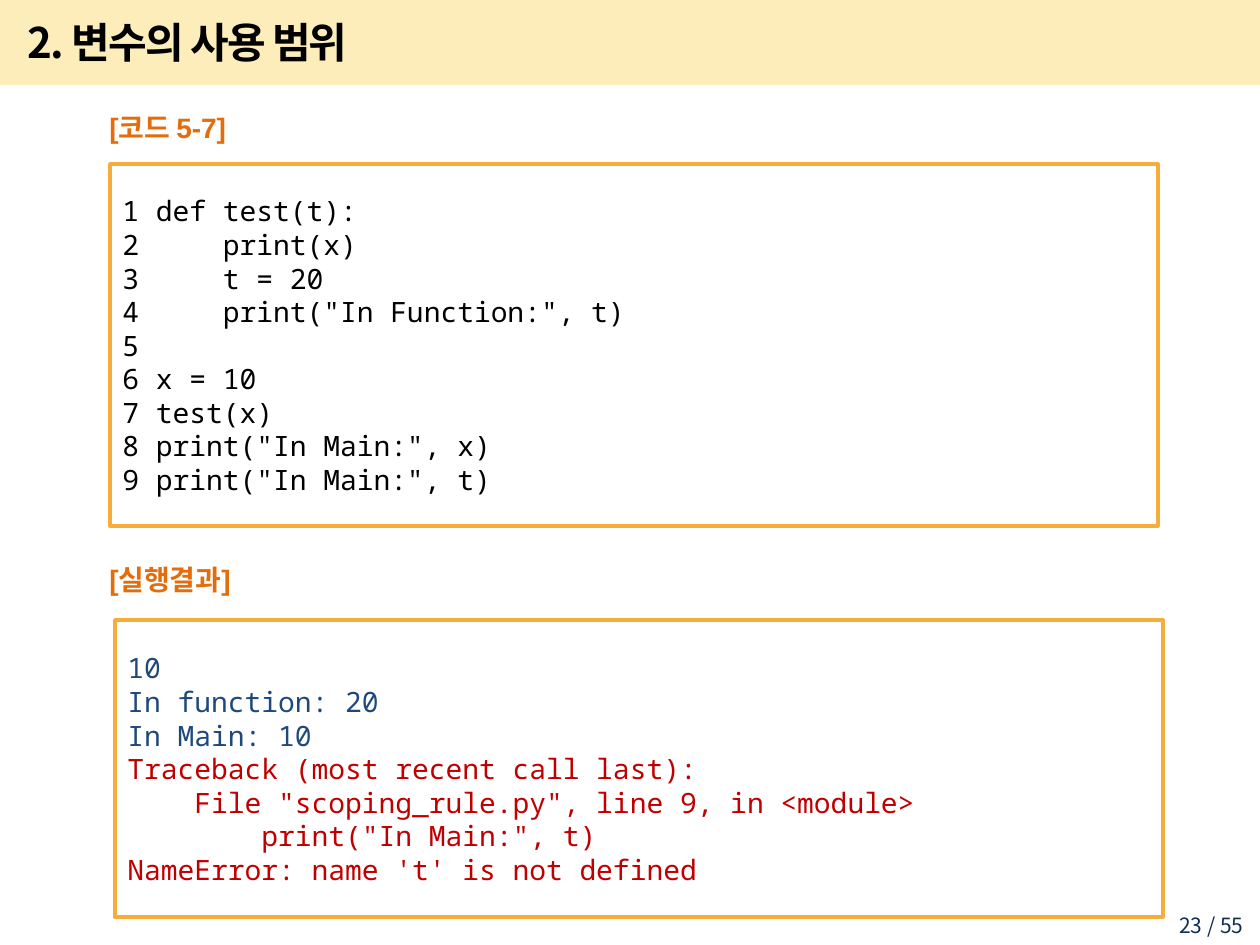
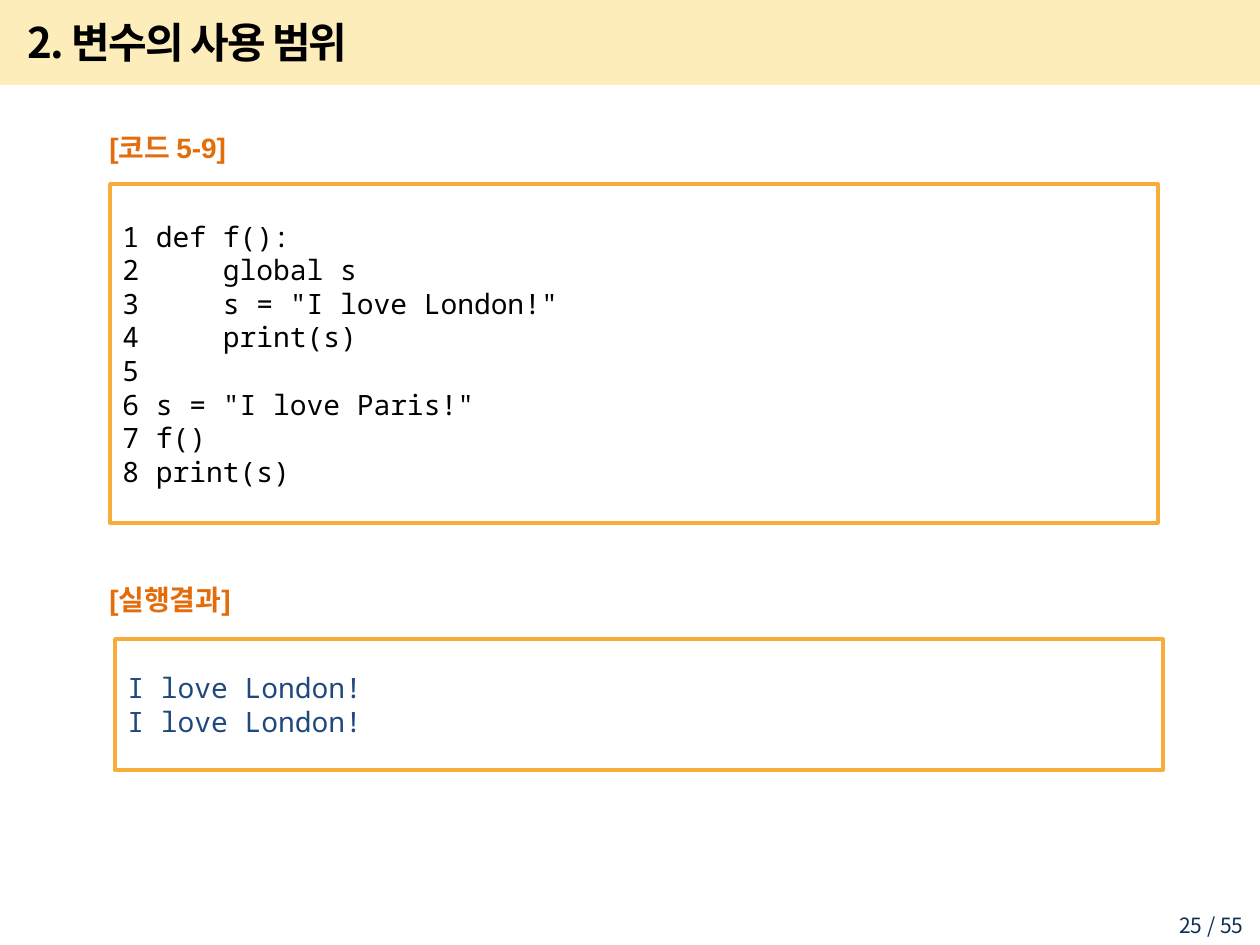
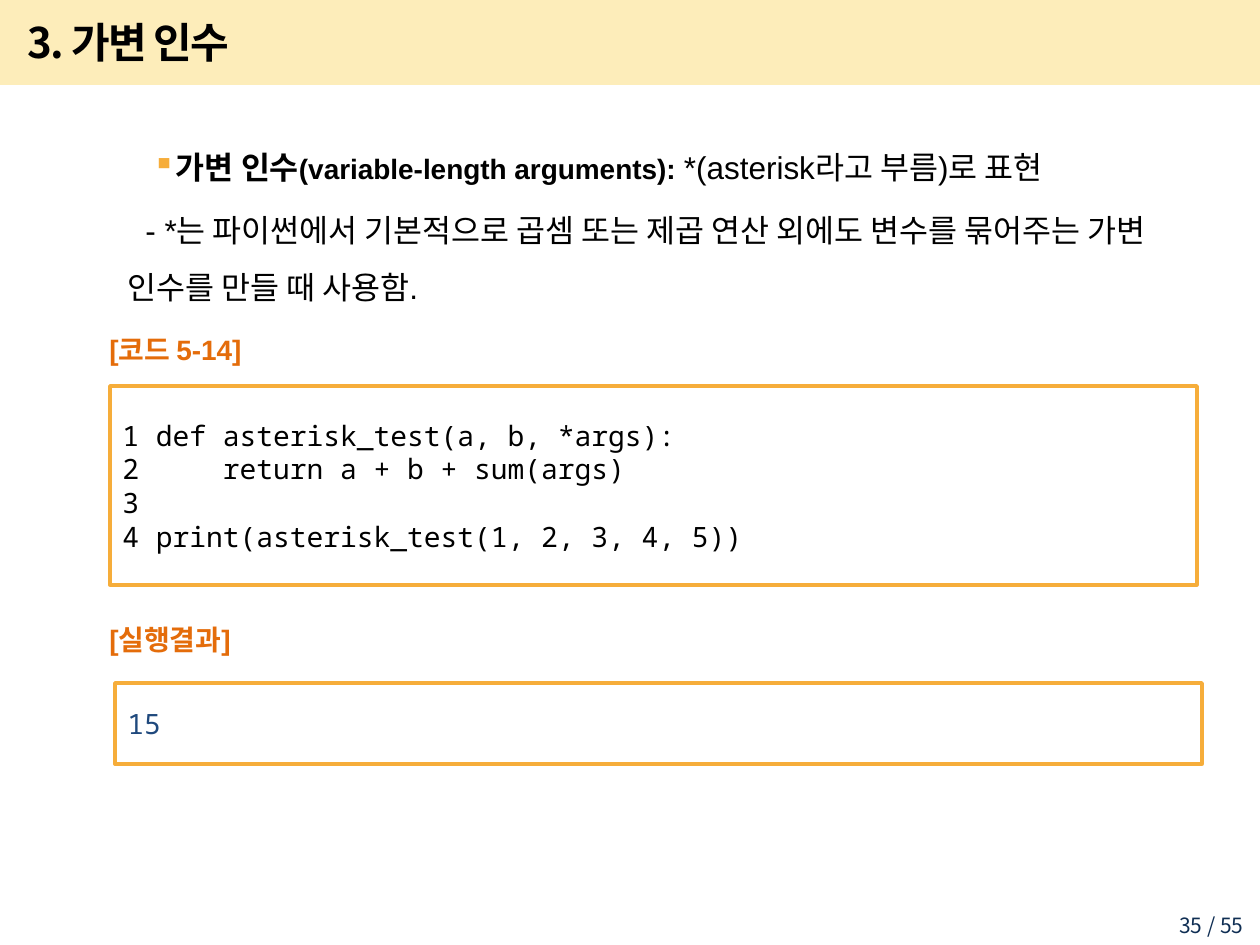
from lxml import etree
from pptx import Presentation
from pptx.dml.color import RGBColor
from pptx.enum.shapes import MSO_SHAPE
from pptx.enum.text import MSO_ANCHOR, PP_ALIGN
from pptx.oxml.ns import qn
from pptx.util import Pt

RECTANGLE = MSO_SHAPE.RECTANGLE
TOP, MIDDLE = MSO_ANCHOR.TOP, MSO_ANCHOR.MIDDLE
LEFT, RIGHT = PP_ALIGN.LEFT, PP_ALIGN.RIGHT

PX_PER_INCH = 126
PAGE_WIDTH, PAGE_HEIGHT = 1260, 945
PAGE_COUNT = 55

BLACK, ORANGE, FRAME = "000000", "E46C0A", "F6AD3A"
BLUE, RED, NAVY, BAND = "1F497D", "C00000", "0F2E53", "FABE00"
HANGUL, SANS, MONO = "Noto Sans CJK KR", "Arial", "Noto Sans Mono"

CODE_LEFT, RESULT_LEFT, LABEL_LEFT = 110, 115, 97
LABEL_WIDTH, CODE_LABEL_HEIGHT, CODE_LABEL_RISE = 198, 63, 68


def px(length):
    return round(length * 914400 / PX_PER_INCH)


def color(value):
    return RGBColor.from_string(value)


def set_font(font, name, size, tint, bold=False):
    font.name, font.size, font.bold = name, Pt(size), bold
    font.color.rgb = color(tint)


def set_hangul_font(para):
    """Name the East Asian font next to the Latin one."""
    latin = para.font._element.find(qn("a:latin"))
    hangul = etree.Element(qn("a:ea"), typeface=HANGUL)
    latin.addnext(hangul)


def prepare_frame(shape, anchor):
    frame = shape.text_frame
    frame.word_wrap = True
    frame.vertical_anchor = anchor
    return frame


def add_text(page, area, text, name, size, tint, bold=False, anchor=MIDDLE, align=LEFT):
    box = page.shapes.add_textbox(*map(px, area))
    para = prepare_frame(box, anchor).paragraphs[0]
    para.text, para.alignment = text, align
    set_font(para.font, name, size, tint, bold)
    set_hangul_font(para)
    return box


def add_rectangle(page, area):
    shape = page.shapes.add_shape(RECTANGLE, *map(px, area))
    shape.shadow.inherit = False
    return shape


def add_page(deck, title, number):
    page = deck.slides.add_slide(deck.slide_layouts[6])
    band = add_rectangle(page, (0, 0, PAGE_WIDTH, 85))
    band.fill.solid()
    band.fill.fore_color.rgb = color(BAND)
    band.line.fill.background()
    tint = band.fill._xPr.find(qn("a:solidFill"))[0]
    etree.SubElement(tint, qn("a:alpha"), val="27000")

    footer = add_text(page, (1140, 910, 116, 29), f"{number} / {PAGE_COUNT}",
                      HANGUL, 12, NAVY, anchor=TOP, align=RIGHT)
    footer.text_frame.margin_top = px(3)
    heading = add_text(page, (15, 9, 1072, 66), title, HANGUL, 24, BLACK, bold=True)
    heading.text_frame.paragraphs[0].font._element.set("spc", "-100")
    return page


def add_label(page, top, height, text):
    add_text(page, (LABEL_LEFT, top, LABEL_WIDTH, height), text, SANS, 16, ORANGE, bold=True)


def add_listing(page, area, lines):
    """Frame the (text, colour) lines in monospace."""
    box = add_rectangle(page, area)
    box.fill.background()
    box.line.color.rgb = color(FRAME)
    box.line.width = Pt(2)
    frame = prepare_frame(box, MIDDLE)
    for index, (text, tint) in enumerate(lines):
        para = frame.add_paragraph() if index else frame.paragraphs[0]
        para.text, para.alignment = text, LEFT
        set_font(para.font, MONO, 16, tint)


def add_code(page, name, top, width, height, code):
    add_label(page, top - CODE_LABEL_RISE, CODE_LABEL_HEIGHT, f"[코드 {name}]")
    lines = [(f"{number} {line}".rstrip(), BLACK)
             for number, line in enumerate(code.splitlines(), 1)]
    add_listing(page, (CODE_LEFT, top, width, height), lines)


def add_result(page, label_top, label_height, top, width, height, output, error=""):
    add_label(page, label_top, label_height, "[실행결과]")
    lines = [(line, BLUE) for line in output.splitlines()]
    lines += [(line, RED) for line in error.splitlines()]
    add_listing(page, (RESULT_LEFT, top, width, height), lines)


def set_indent(para, first_line, bullet=None):
    properties = para._p.get_or_add_pPr()
    properties.set("marL", str(px(49)))
    properties.set("indent", str(px(first_line)))
    if bullet:
        bullet_color = etree.SubElement(properties, qn("a:buClr"))
        etree.SubElement(bullet_color, qn("a:srgbClr"), val=FRAME)
        etree.SubElement(properties, qn("a:buChar"), char=bullet)
    para.line_spacing = 1.5


def add_explanation(page):
    box = page.shapes.add_textbox(*map(px, (66, 123, 1153, 833)))
    frame = prepare_frame(box, TOP)
    term = frame.paragraphs[0]
    set_indent(term, 25, "▪")
    for text, size, bold in (("가변 인수", 18, True),
                             ("(variable-length arguments): ", 16, True),
                             ("*(asterisk라고 부름)로 표현", 18, False)):
        span = term.add_run()
        span.text = text
        set_font(span.font, SANS, size, BLACK, bold)

    detail = frame.add_paragraph()
    detail.text = ("- *는 파이썬에서 기본적으로 곱셈 또는 제곱 연산 외에도 "
                   "변수를 묶어주는 가변 인수를 만들 때 사용함.")
    set_indent(detail, 18)
    detail.space_before = Pt(3.6)
    set_font(detail.font, SANS, 18, BLACK)
    set_hangul_font(detail)


LOCAL_CODE = """\
def test(t):
    print(x)
    t = 20
    print("In Function:", t)

x = 10
test(x)
print("In Main:", x)
print("In Main:", t)"""

LOCAL_OUTPUT = """\
10
In function: 20
In Main: 10"""

LOCAL_ERROR = """\
Traceback (most recent call last):
    File "scoping_rule.py", line 9, in <module>
        print("In Main:", t)
NameError: name 't' is not defined"""

GLOBAL_CODE = """\
def f():
    global s
    s = "I love London!"
    print(s)

s = "I love Paris!"
f()
print(s)"""

GLOBAL_OUTPUT = """\
I love London!
I love London!"""

ASTERISK_CODE = """\
def asterisk_test(a, b, *args):
    return a + b + sum(args)

print(asterisk_test(1, 2, 3, 4, 5))"""


def main():
    deck = Presentation()
    deck.slide_width, deck.slide_height = px(PAGE_WIDTH), px(PAGE_HEIGHT)

    page = add_page(deck, "2. 변수의 사용 범위", 23)
    add_code(page, "5-7", 164, 1048, 362, LOCAL_CODE)
    add_result(page, 542, 74, 620, 1048, 297, LOCAL_OUTPUT, LOCAL_ERROR)

    page = add_page(deck, "2. 변수의 사용 범위", 25)
    add_code(page, "5-9", 184, 1048, 339, GLOBAL_CODE)
    add_result(page, 562, 74, 639, 1048, 131, GLOBAL_OUTPUT)

    page = add_page(deck, "3. 가변 인수", 35)
    add_explanation(page)
    add_code(page, "5-14", 386, 1087, 199, ASTERISK_CODE)
    add_result(page, 605, 69, 683, 1087, 81, "15")

    deck.save("out.pptx")


if __name__ == "__main__":
    main()
